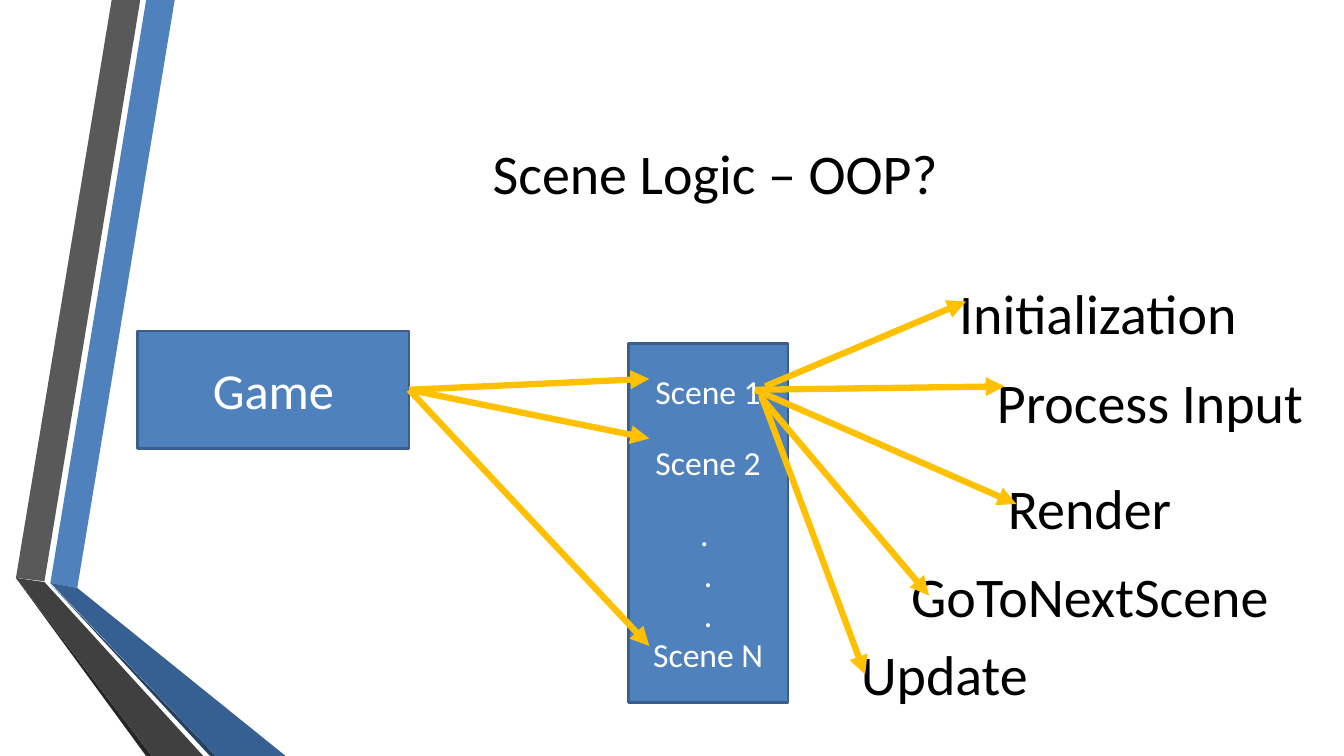
import pptx
import pptx.util
import pptx.dml.color
import pptx.enum.shapes
import pptx.enum.text
import pptx.oxml.ns
import lxml.etree

THEME = {
    "font": "Calibri",
    "blue": "4F81BD", "outline": "3A5F8C", "arrow": "FFC000",
    "text": "000000", "inverse": "FFFFFF",
    "band_gray": "595959", "band_edge_gray": "262626", "band_fold_gray": "404040",
    "band_edge_blue": "254061", "band_fold_blue": "376092",
    "large": 40, "box": 36, "list": 24, "list_gap": 22,
    "outline_width": 2, "arrow_width": 4.5,
}

presentation = pptx.Presentation()
presentation.slide_width = pptx.util.Inches(13.33)
presentation.slide_height = pptx.util.Inches(7.5)
slide = presentation.slides.add_slide(presentation.slide_layouts[5])

# Grid of 160 columns by 90 rows
column = presentation.slide_width / 160
row = presentation.slide_height / 90


def grid(*lengths):
    """Turn alternating columns and rows into slide lengths."""
    return [round(length * (row if index % 2 else column))
            for index, length in enumerate(lengths)]


def write(paragraph, text, size, color):
    run = paragraph.add_run()
    run.text = text
    run.font.name = THEME["font"]
    run.font.size = pptx.util.Pt(THEME[size])
    run.font.color.rgb = pptx.dml.color.RGBColor.from_string(THEME[color])


# Folded bands on the left edge
bands = [
    ("blue", [(6, 69.4), (9.2, 70), (20.8, 0), (17.4, 0)]),
    ("band_gray", [(16.7, 0), (13.3, 0), (1.9, 68.8), (5.3, 69.2)]),
    ("band_edge_gray", [(1.9, 68.8), (17.4, 90), (18.1, 90)]),
    ("band_edge_blue", [(6, 69.5), (25, 90), (25.7, 90)]),
    ("band_fold_blue", [(6, 69.4), (25.7, 90), (34, 90), (9.2, 70)]),
    ("band_fold_gray", [(24.2, 90), (5.3, 69.3), (1.9, 68.8), (18.1, 90)]),
]
for color, corners in bands:
    points = [grid(*corner) for corner in corners]
    builder = slide.shapes.build_freeform(*points[0])
    builder.add_line_segments(points[1:], close=True)
    band = builder.convert_to_shape()
    band.shadow.inherit = False
    band.fill.solid()
    band.fill.fore_color.rgb = pptx.dml.color.RGBColor.from_string(THEME[color])
    band.line.fill.background()

# Title
title = slide.shapes.title
title.left, title.top, title.width, title.height = grid(19.4, 9, 131.5, 23)
title.text_frame.vertical_anchor = pptx.enum.text.MSO_ANCHOR.MIDDLE
title_paragraph = title.text_frame.paragraphs[0]
title_paragraph.alignment = pptx.enum.text.PP_ALIGN.CENTER
write(title_paragraph, "Scene Logic – OOP?", "large", "text")

# Game box and scene list; each line has its text and whether a gap precedes it
boxes = [
    ((16.4, 39.4, 32.3, 14), "box", [("Game", False)]),
    ((74.8, 40.9, 19, 42.7), "list",
     [("Scene 1", False), ("Scene 2", True), (". ", True),
      (".", False), (".", False), ("Scene N", False)]),
]
box_shapes = []
for place, size, lines in boxes:
    shape = slide.shapes.add_shape(
        pptx.enum.shapes.MSO_SHAPE.RECTANGLE, *grid(*place))
    shape.shadow.inherit = False
    shape.fill.solid()
    shape.fill.fore_color.rgb = pptx.dml.color.RGBColor.from_string(THEME["blue"])
    shape.line.color.rgb = pptx.dml.color.RGBColor.from_string(THEME["outline"])
    shape.line.width = pptx.util.Pt(THEME["outline_width"])
    frame = shape.text_frame
    frame.word_wrap = True
    frame.vertical_anchor = pptx.enum.text.MSO_ANCHOR.MIDDLE
    for index, (text, gap_before) in enumerate(lines):
        paragraph = frame.add_paragraph() if index else frame.paragraphs[0]
        paragraph.alignment = pptx.enum.text.PP_ALIGN.CENTER
        if gap_before:
            paragraph.space_before = pptx.util.Pt(THEME["list_gap"])
        write(paragraph, text, size, "inverse")
    box_shapes.append(shape)
game = box_shapes[0]

# What a scene does: label, its left, top and width, arrow start and tip
actions = [
    ("Initialization", (113, 32.6, 43.1), (91.1, 46), (115, 35.9)),
    ("Process Input", (117.5, 43.1, 46.9), (89.9, 46.4), (119.6, 46)),
    ("Render", (118.8, 55.8, 26), (89.9, 46.4), (121, 60)),
    ("GoToNextScene", (107.3, 66.2, 54.4), (90.6, 47.3), (110.6, 70.9)),
    ("Update", (101.3, 75.6, 26.5), (90.6, 47), (103, 80.3)),
]
for text, place, start, tip in actions:
    label = slide.shapes.add_textbox(*grid(*place, 9.2))
    label.text_frame.word_wrap = True
    write(label.text_frame.paragraphs[0], text, "large", "text")

# Arrows from the game to its scenes, then from a scene to its actions
game_side = (48.7, 46.4)
arrows = [(game_side, (77.3, tip_row)) for tip_row in (52.2, 45.1, 76.9)]
arrows += [(start, tip) for text, place, start, tip in actions]
for start, tip in arrows:
    arrow = slide.shapes.add_connector(
        pptx.enum.shapes.MSO_CONNECTOR.STRAIGHT, *grid(*start, *tip))
    if start == game_side:
        arrow.begin_connect(game, 3)
    arrow.line.color.rgb = pptx.dml.color.RGBColor.from_string(THEME["arrow"])
    arrow.line.width = pptx.util.Pt(THEME["arrow_width"])
    properties = arrow.line._get_or_add_ln()
    lxml.etree.SubElement(
        properties, pptx.oxml.ns.qn("a:tailEnd"), type="triangle")
    lxml.etree.SubElement(
        arrow._element.spPr, pptx.oxml.ns.qn("a:effectLst"))

presentation.save("out.pptx")
